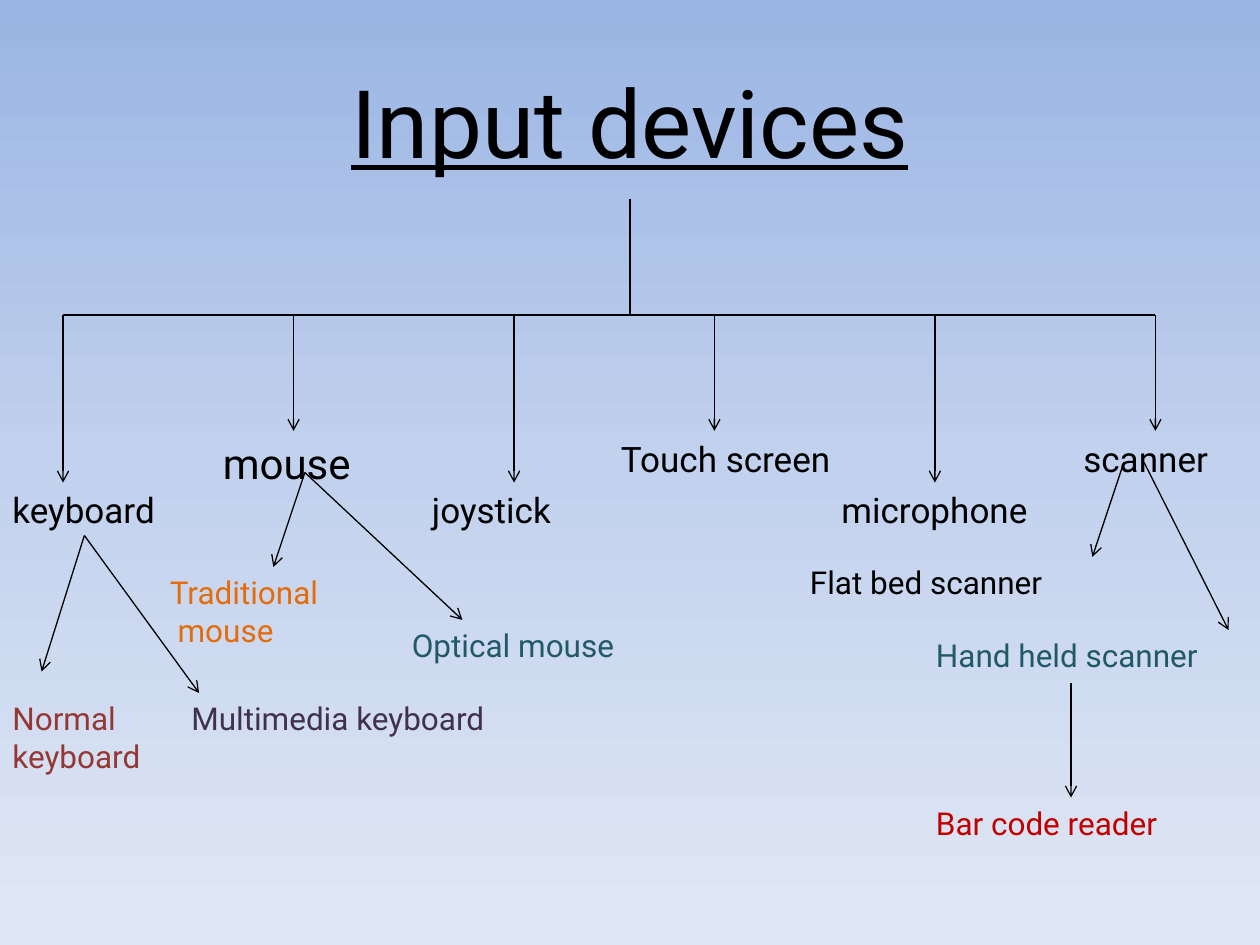
import copy
from dataclasses import dataclass

import lxml.etree
import pptx
import pptx.dml.color
import pptx.enum.shapes
import pptx.enum.text
import pptx.oxml.ns
import pptx.util

Inches = pptx.util.Inches
RGBColor = pptx.dml.color.RGBColor
qn = pptx.oxml.ns.qn

FONT = "Roboto"
BLACK = RGBColor(0x00, 0x00, 0x00)
MAROON = RGBColor(0x95, 0x37, 0x35)
PURPLE = RGBColor(0x40, 0x31, 0x52)
ORANGE = RGBColor(0xE4, 0x6C, 0x0A)
TEAL = RGBColor(0x21, 0x59, 0x68)
RED = RGBColor(0xC0, 0x00, 0x00)
SKY = [
    (0, RGBColor(0x9A, 0xB5, 0xE4)),
    (0.5, RGBColor(0xC2, 0xD1, 0xED)),
    (1, RGBColor(0xE1, 0xE8, 0xF5)),
]

BAR_Y = 2.5
HIGH_ROW, LOW_ROW = 3.42, 3.83


@dataclass
class Label:
    lines: list[str]
    left: float
    top: float
    width: float
    height: float = 0.4
    size: int = 18
    color: RGBColor = BLACK


@dataclass
class Device:
    name: str
    arrow_x: float
    row_y: float
    left: float
    width: float
    height: float = 0.44
    size: int = 20


@dataclass
class Branch:
    start: tuple[float, float]
    end: tuple[float, float]


DEVICES = [
    Device("keyboard", 0.5, LOW_ROW, 0, 2.08),
    Device("mouse", 2.33, HIGH_ROW, 1.67, 2.25, 0.5, 24),
    Device("joystick", 4.08, LOW_ROW, 3.33, 1.75),
    Device("Touch screen", 5.67, HIGH_ROW, 4.83, 2.5),
    Device("microphone", 7.42, LOW_ROW, 6.58, 1.92),
    Device("scanner", 9.17, HIGH_ROW, 8.5, 1.5),
]

KINDS = [
    Label(["Normal", "keyboard"], 0, 5.5, 1.58, 0.71, color=MAROON),
    Label(["Multimedia keyboard"], 1.42, 5.5, 3.5, color=PURPLE),
    Label(["Traditional", " mouse"], 1.25, 4.5, 2.83, 0.71, color=ORANGE),
    Label(["Optical mouse"], 3.17, 4.92, 2.25, color=TEAL),
    Label(["Flat bed scanner"], 6.33, 4.42, 3.25),
    Label(["Hand held scanner"], 7.33, 5, 3.58, color=TEAL),
    Label(["Bar code reader"], 7.33, 6.33, 2.5, color=RED),
]

BRANCHES = [
    Branch((0.67, 4.25), (0.33, 5.33)),
    Branch((0.67, 4.25), (1.58, 5.5)),
    Branch((2.42, 3.75), (2.17, 4.5)),
    Branch((2.42, 3.75), (3.67, 4.92)),
    Branch((8.92, 3.67), (8.67, 4.42)),
    Branch((9.08, 3.67), (9.75, 5)),
    Branch((8.5, 5.42), (8.5, 6.33)),
]


def paint_background(slide) -> None:
    fill = slide.background.fill
    fill.gradient()
    fill.gradient_angle = 270
    stop_list = slide.element.find(".//" + qn("a:gsLst"))
    stop_list.append(copy.deepcopy(stop_list[0]))
    for stop, (position, color) in zip(fill.gradient_stops, SKY):
        stop.position = position
        stop.color.rgb = color


def draw_label(slide, label: Label, **extra_format):
    box = slide.shapes.add_textbox(
        Inches(label.left), Inches(label.top), Inches(label.width), Inches(label.height)
    )
    box.text_frame.word_wrap = True
    box.text_frame.text = "\n".join(label.lines)
    font_format = {"name": FONT, "size": pptx.util.Pt(label.size), **extra_format}
    for paragraph in box.text_frame.paragraphs:
        for run in paragraph.runs:
            for attribute, value in font_format.items():
                setattr(run.font, attribute, value)
            run.font.color.rgb = label.color
    return box.text_frame


def draw_line(slide, branch: Branch, arrow: bool = True) -> None:
    line = slide.shapes.add_connector(
        pptx.enum.shapes.MSO_CONNECTOR.STRAIGHT,
        *(Inches(length) for length in branch.start + branch.end),
    )
    line.line.color.rgb = BLACK
    line.line.width = pptx.util.Pt(0.75)
    properties = line._element.spPr
    if arrow:
        outline = properties.find(qn("a:ln"))
        lxml.etree.SubElement(outline, qn("a:tailEnd"), type="arrow")
    lxml.etree.SubElement(properties, qn("a:effectLst"))


def main() -> None:
    deck = pptx.Presentation()
    deck.slide_width, deck.slide_height = Inches(10), Inches(7.5)
    slide = deck.slides.add_slide(deck.slide_layouts[6])
    paint_background(slide)

    # Title
    title = draw_label(
        slide, Label(["Input devices"], 0.5, 0.33, 9, 1.25, size=54), underline=True
    )
    title.vertical_anchor = pptx.enum.text.MSO_ANCHOR.MIDDLE
    title.paragraphs[0].alignment = pptx.enum.text.PP_ALIGN.CENTER

    # Trunk and crossbar
    first, last = DEVICES[0], DEVICES[-1]
    draw_line(slide, Branch((first.arrow_x, BAR_Y), (last.arrow_x, BAR_Y)), arrow=False)
    draw_line(slide, Branch((5, 1.58), (5, BAR_Y)), arrow=False)

    # Devices under the crossbar
    for device in DEVICES:
        draw_line(slide, Branch((device.arrow_x, BAR_Y), (device.arrow_x, device.row_y)))
        draw_label(
            slide,
            Label([device.name], device.left, device.row_y, device.width,
                  device.height, device.size),
        )

    # Kinds of each device
    for branch in BRANCHES:
        draw_line(slide, branch)
    for kind in KINDS:
        draw_label(slide, kind)

    deck.save("out.pptx")


if __name__ == "__main__":
    main()
